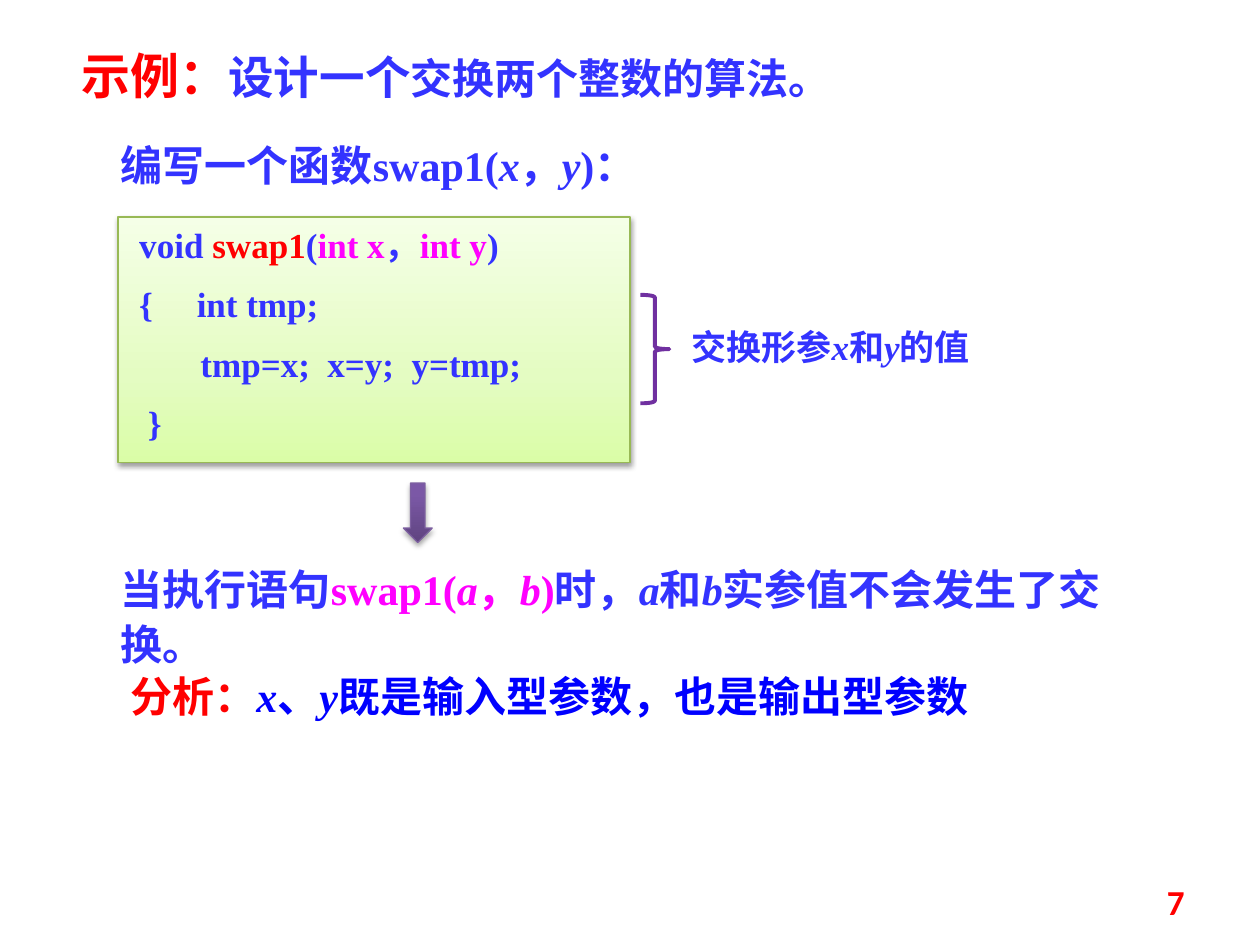
"""Build the slide on a swap algorithm: code, its effect and an analysis."""
from lxml import etree
from pptx import Presentation
from pptx.dml.color import RGBColor
from pptx.enum.shapes import MSO_SHAPE
from pptx.enum.text import MSO_ANCHOR, MSO_AUTO_SIZE, PP_ALIGN
from pptx.oxml.ns import qn
from pptx.util import Pt

RECT, BRACE, ARROW = MSO_SHAPE.RECTANGLE, MSO_SHAPE.RIGHT_BRACE, MSO_SHAPE.DOWN_ARROW
TOP, MIDDLE = MSO_ANCHOR.TOP, MSO_ANCHOR.MIDDLE
LEFT, RIGHT = PP_ALIGN.LEFT, PP_ALIGN.RIGHT
GROW = MSO_AUTO_SIZE.SHAPE_TO_FIT_TEXT

INK = {"blue": "3333FF", "deep": "0000FF", "red": "FF0000", "pink": "FF00FF",
       "brace": "7030A0", "edge": "98B955", "rim": "7D60A0"}
GREEN = [(0, "DAFDA7"), (35, "E4FCC2"), (100, "F5FFE7")]
PURPLE = [(0, "5F4480"), (80, "7B58A6"), (100, "7C57A8")]
SERIF, HAN = "Times New Roman", "Noto Sans CJK SC"

TITLE = [("示例：", "red", 28), ("设计一个", "blue", 26),
         ("交换两个整数的算法。", "blue", 24)]
CODE = [
    [(" void ", "blue"), ("swap1", "red"), ("(", "blue"), ("int x", "pink"),
     ("，", "blue"), ("int y", "pink"), (")", "blue")],
    [(" {     int tmp;", "blue")],
    [("        tmp=x;  x=y;  y=tmp;", "blue")],
    [("  }", "blue")],
]
NOTES = [
    ((62, 73.5, 354, 39.5), 24,
     [("编写一个函数swap1(", "blue"), ("x", "blue"), ("，", "blue"),
      ("y", "blue"), (")：", "blue")]),
    ((388, 180, 191.5, 34), 20,
     [("交换形参", "blue"), ("x", "blue"), ("和", "blue"), ("y", "blue"),
      ("的值", "blue")]),
    ((62, 315.5, 585.5, 71.5), 24,
     [("当执行语句", "blue"), ("swap1(", "pink"), ("a", "pink"), ("，", "pink"),
      ("b", "pink"), (")", "pink"), ("时，", "blue"), ("a", "blue"),
      ("和", "blue"), ("b", "blue"), ("实参值不会发生了交换。", "blue")]),
    ((67.5, 376.5, 551.5, 39.5), 24,
     [("分析：", "red"), ("x", "deep"), ("、", "deep"), ("y", "deep"),
      ("既是输入型参数，也是输出型参数", "deep")]),
]


def write(para, runs, size, face=SERIF, slant=True):
    for text, ink, *own in runs:
        run = para.add_run()
        run.text = text
        font = run.font
        font.size = Pt(own[0] if own else size)
        font.name, font.bold = face, True
        font.italic = slant and text in ("x", "y", "a", "b")
        font.color.rgb = RGBColor.from_string(INK[ink])
        etree.SubElement(run._r.rPr, qn("a:ea"), typeface=HAN)


def frame(shape, anchor=TOP, fit=GROW):
    body = shape.text_frame
    body.word_wrap, body.auto_size, body.vertical_anchor = True, fit, anchor
    body.margin_left = body.margin_right = Pt(7.2)
    body.margin_top = body.margin_bottom = Pt(3.6)
    return body


def draw(slide, kind, place, ink, width):
    shape = slide.shapes.add_shape(kind, *map(Pt, place))
    shape.shadow.inherit = False
    shape.fill.background()
    shape.line.color.rgb = RGBColor.from_string(INK[ink])
    shape.line.width = Pt(width)
    return shape


def tint(node, hue):
    return etree.SubElement(node, qn("a:srgbClr"), val=hue)


def shade(shape, stops, alpha, drop):
    shape.fill.gradient()
    shape.fill.gradient_angle = 90
    props = shape._element.spPr
    ramp = props.find(".//" + qn("a:gsLst"))
    for old in list(ramp):
        ramp.remove(old)
    for pos, hue in stops:
        tint(etree.SubElement(ramp, qn("a:gs"), pos=str(pos * 1000)), hue)
    cast = etree.SubElement(
        props.find(qn("a:effectLst")), qn("a:outerShdw"), blurRad=str(Pt(3.1)),
        dist=str(Pt(drop)), dir="5400000", rotWithShape="0")
    etree.SubElement(tint(cast, "000000"), qn("a:alpha"), val=str(alpha * 1000))


def main():
    deck = Presentation()
    deck.slide_width, deck.slide_height = Pt(720), Pt(540)
    slide = deck.slides.add_slide(deck.slide_layouts[5])

    title = slide.shapes.title
    title.left, title.top, title.width, title.height = map(Pt, (39.5, 22.5, 556.5, 41))
    para = frame(title).paragraphs[0]
    para.alignment = LEFT
    write(para, TITLE, 24, HAN)

    code = draw(slide, RECT, (67.5, 124, 292.5, 140.5), "edge", 0.75)
    shade(code, GREEN, 38, 1.6)
    body = frame(code)
    for row, runs in enumerate(CODE):
        para = body.add_paragraph() if row else body.paragraphs[0]
        para.alignment = LEFT
        if row:
            para.space_before = Pt(10)
        write(para, runs, 20, slant=False)

    draw(slide, BRACE, (366, 168.5, 16.5, 62), "brace", 2.25)
    arrow = draw(slide, ARROW, (230.5, 276, 16.5, 34), "rim", 0.75)
    shade(arrow, PURPLE, 35, 1.8)

    for place, size, runs in NOTES:
        para = frame(slide.shapes.add_textbox(*map(Pt, place))).paragraphs[0]
        para.line_spacing = 1.1
        write(para, runs, size)

    page = slide.shapes.add_textbox(*map(Pt, (516, 500.5, 168, 29)))
    para = frame(page, MIDDLE, MSO_AUTO_SIZE.NONE).paragraphs[0]
    para.alignment = RIGHT
    write(para, [("7", "red")], 20, "Calibri")

    deck.save("out.pptx")


if __name__ == "__main__":
    main()
